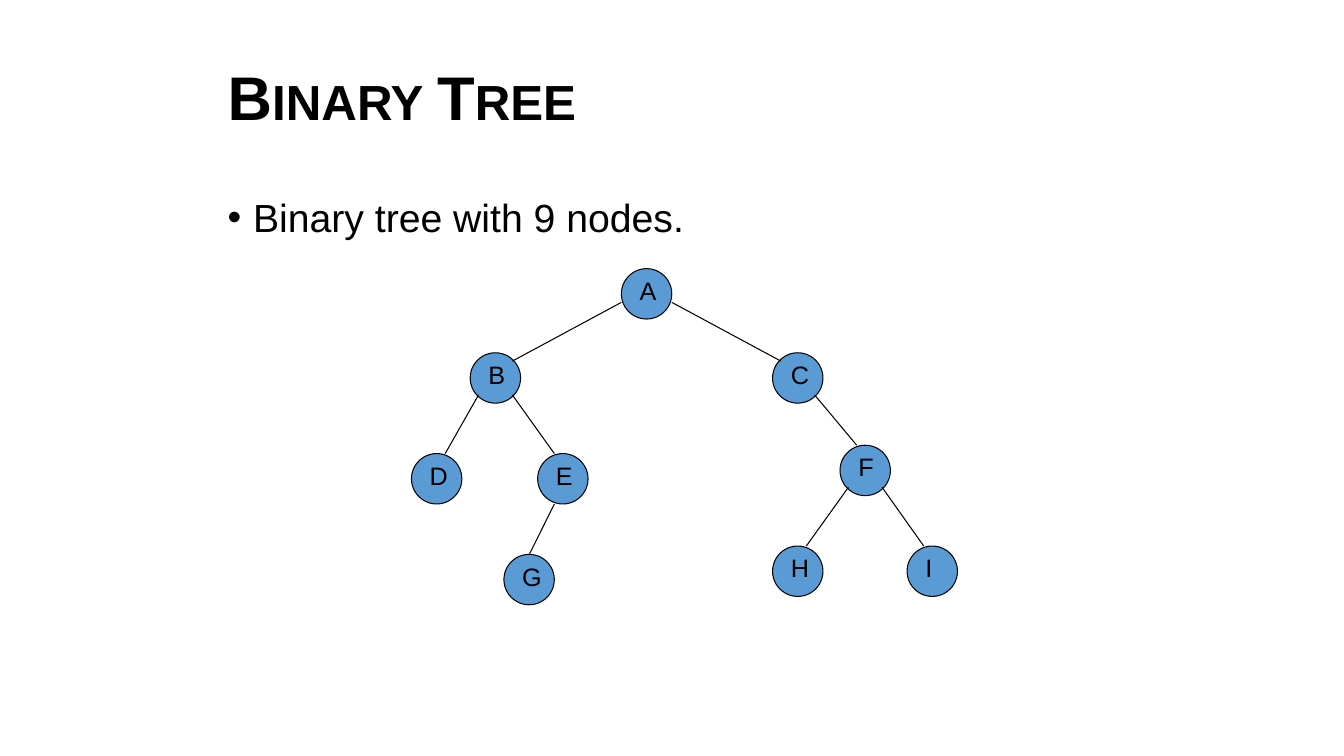
from dataclasses import dataclass
from lxml.etree import SubElement
from pptx import Presentation
from pptx.dml.color import RGBColor
from pptx.enum.shapes import MSO_CONNECTOR, MSO_SHAPE
from pptx.enum.text import MSO_ANCHOR, MSO_AUTO_SIZE, PP_ALIGN
from pptx.oxml.ns import qn
from pptx.util import Cm, Pt


@dataclass(frozen=True)
class Theme:
    font: str = "Arial"
    ink: RGBColor = RGBColor(0x00, 0x00, 0x00)
    node: RGBColor = RGBColor(0x5B, 0x9B, 0xD5)
    title: Pt = Pt(44)
    body: Pt = Pt(28)
    label: Pt = Pt(18)
    stroke: Pt = Pt(0.75)


NODE = 1.27
NODES = {
    "A": (15.66, 6.77),
    "B": (11.85, 8.89),
    "C": (19.47, 8.89),
    "D": (10.37, 11.43),
    "E": (13.55, 11.43),
    "F": (21.17, 11.22),
    "G": (12.7, 13.97),
    "H": (19.47, 13.76),
    "I": (22.86, 13.76),
}
WIDE_LABELS = "DGI"

ROOT_LEFT = (0, 0.85), (1.06, 0.21)
ROOT_RIGHT = (NODE, 0.85), (0.21, 0.21)
LEFT = (0.21, 1.06), (0.85, 0)
RIGHT = (1.06, 1.06), (0.42, 0)
STEEP_LEFT = (0.42, NODE), (0.64, 0)
BRANCHES = [
    ("AB", ROOT_LEFT),
    ("AC", ROOT_RIGHT),
    ("BD", LEFT),
    ("BE", RIGHT),
    ("EG", STEEP_LEFT),
    ("CF", RIGHT),
    ("FH", LEFT),
    ("FI", RIGHT),
]


def apply(target, **values):
    for name, value in values.items():
        setattr(target, name, value)


class TreeSlide:
    def __init__(self, slide, theme):
        self.shapes = slide.shapes
        self.theme = theme

    def text(self, shapes, wording, box, size, frame=None, paragraph=None, font=None):
        text_frame = shapes.add_textbox(*map(Cm, box)).text_frame
        apply(text_frame, word_wrap=True, **(frame or {}))
        line = text_frame.paragraphs[0]
        apply(line, **(paragraph or {}))
        run = line.add_run()
        run.text = wording
        apply(run.font, name=self.theme.font, size=size, **(font or {}))
        run.font.color.rgb = self.theme.ink
        return line

    def title(self, wording, box):
        heading = self.text(
            self.shapes, wording, box, self.theme.title,
            frame={"vertical_anchor": MSO_ANCHOR.MIDDLE},
            paragraph={"line_spacing": 0.9},
            font={"bold": True},
        )
        heading.runs[0].font._element.set("cap", "small")

    def bullet(self, wording, box):
        point = self.text(
            self.shapes, wording, box, self.theme.body,
            paragraph={"alignment": PP_ALIGN.JUSTIFY, "line_spacing": 0.9, "space_after": Pt(4)},
        )
        properties = point._p.get_or_add_pPr()
        indent = Cm(0.64)
        properties.set("marL", str(indent))
        properties.set("indent", str(-indent))
        color = SubElement(properties, qn("a:buClr"))
        SubElement(color, qn("a:srgbClr")).set("val", str(self.theme.ink))
        SubElement(properties, qn("a:buFont")).set("typeface", self.theme.font)
        SubElement(properties, qn("a:buChar")).set("char", "•")

    def outline(self, line):
        line.color.rgb = self.theme.ink
        line.width = self.theme.stroke

    def node(self, letter):
        left, top = NODES[letter]
        group = self.shapes.add_group_shape()
        circle = group.shapes.add_shape(MSO_SHAPE.OVAL, *map(Cm, (left, top, NODE, NODE)))
        circle.shadow.inherit = False
        circle.fill.solid()
        circle.fill.fore_color.rgb = self.theme.node
        self.outline(circle.line)
        width = 1.06 if letter in WIDE_LABELS else 0.85
        self.text(
            group.shapes, letter, (left + 0.21, top + 0.04, width, 1.02), self.theme.label,
            frame={"auto_size": MSO_AUTO_SIZE.SHAPE_TO_FIT_TEXT},
        )

    def branch(self, parent, child, ports):
        ends = [
            Cm(origin + offset)
            for letter, port in zip((parent, child), ports)
            for origin, offset in zip(NODES[letter], port)
        ]
        edge = self.shapes.add_connector(MSO_CONNECTOR.STRAIGHT, *ends)
        self.outline(edge.line)
        SubElement(edge._element.spPr, qn("a:effectLst"))


def main():
    deck = Presentation()
    apply(deck, slide_width=Cm(33.87), slide_height=Cm(19.05))
    tree = TreeSlide(deck.slides.add_slide(deck.slide_layouts[6]), Theme())
    tree.title("Binary Tree", (5.49, 1.27, 22.86, 2.54))
    tree.bullet("Binary tree with 9 nodes.", (5.49, 4.88, 22.86, 1.47))
    for letter in NODES:
        tree.node(letter)
    for (parent, child), ports in BRANCHES:
        tree.branch(parent, child, ports)
    deck.save("out.pptx")


if __name__ == "__main__":
    main()
